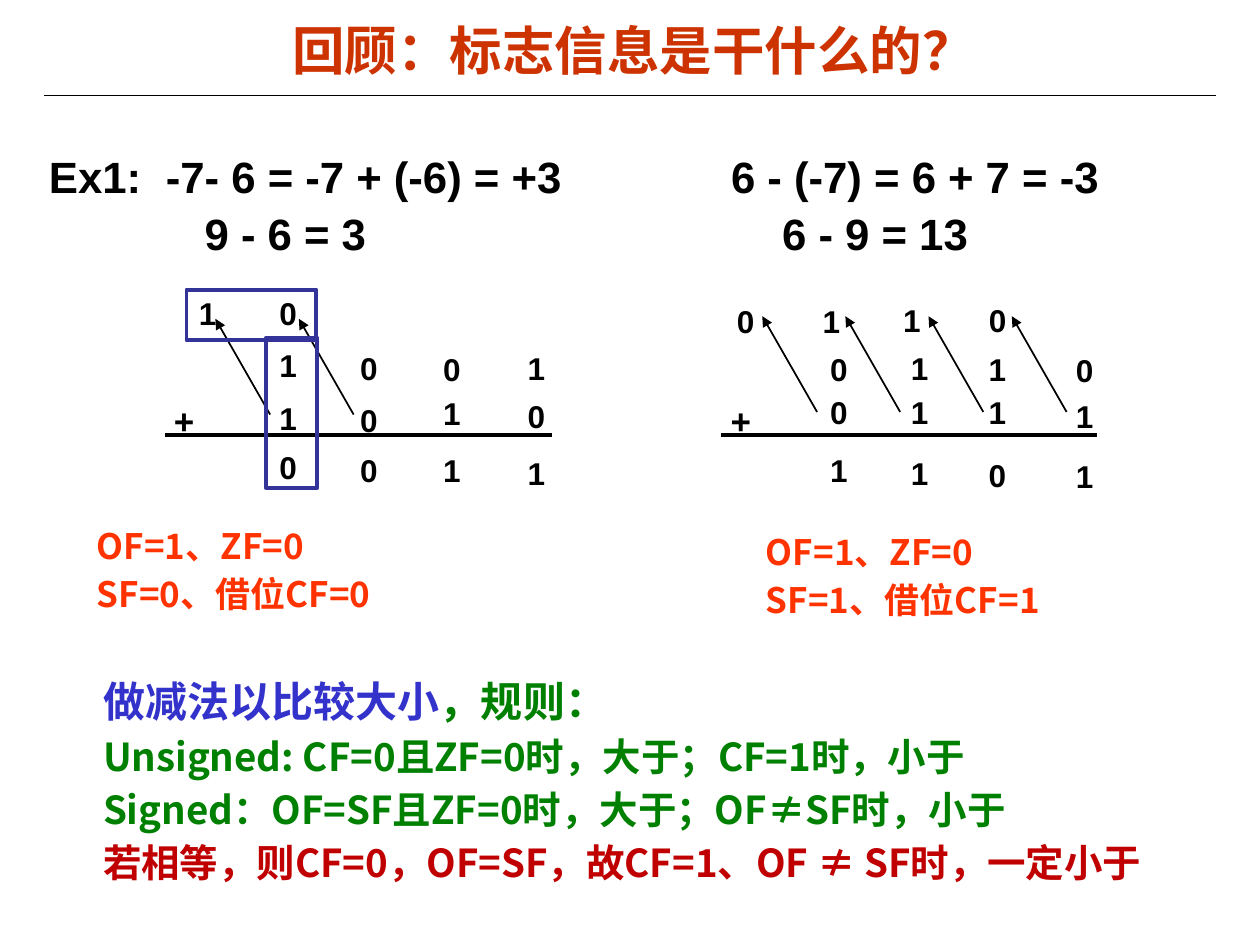
from typing import NamedTuple, Optional, Sequence

from lxml import etree
from pptx import Presentation
from pptx import util as u
from pptx.dml import color as colors
from pptx.enum import shapes, text
from pptx.oxml import ns

Pt = u.Pt
LATIN, CJK = "Arial", "Noto Sans CJK SC"
BLACK, ORANGE, GREEN = "000000", "FF3300", "008000"


class Span(NamedTuple):
    words: str
    size: float
    color: str = BLACK
    font: str = LATIN


class Line(NamedTuple):
    spans: Sequence[Span]
    before: float = 0
    spacing: Optional[float] = None
    tabs: Sequence[float] = ()


class Column(NamedTuple):
    left: float
    digits: str
    tops: Sequence[float]


class Sum(NamedTuple):
    plus_left: float
    rule: tuple[float, float]
    columns: Sequence[Column]
    arrow_tips: Sequence[float]
    tip_top: float


class Flags(NamedTuple):
    left: float
    top: float
    width: float
    lines: Sequence[str]


def rgb(value: str) -> colors.RGBColor:
    return colors.RGBColor.from_string(value)


def add_text(page, left: float, top: float, width: float, height: float,
             lines: Sequence[Line], wrap: bool = True,
             inset: tuple[float, float] = (7.2, 3.6)):
    box = page.shapes.add_textbox(Pt(left), Pt(top), Pt(width), Pt(height))
    frame = box.text_frame
    frame.word_wrap = wrap
    frame.margin_left = frame.margin_right = Pt(inset[0])
    frame.margin_top = frame.margin_bottom = Pt(inset[1])
    for index, line in enumerate(lines):
        para = frame.add_paragraph() if index else frame.paragraphs[0]
        if index and line.before:
            para.space_before = Pt(line.before)
        if line.spacing:
            para.line_spacing = line.spacing
        if line.tabs:
            stops = etree.SubElement(para._p.get_or_add_pPr(), ns.qn("a:tabLst"))
            for stop in line.tabs:
                etree.SubElement(stops, ns.qn("a:tab"), pos=str(Pt(stop)), algn="l")
        for part in line.spans:
            span = para.add_run()
            span.text = part.words
            span.font.size = Pt(part.size)
            span.font.bold = True
            span.font.name = part.font
            span.font.color.rgb = rgb(part.color)
            east_asian = etree.SubElement(span.font._element, ns.qn("a:ea"))
            east_asian.set("typeface", CJK)
    return box


def add_line(page, start: tuple[float, float], end: tuple[float, float],
             width: float, arrow: bool = False) -> None:
    line = page.shapes.add_connector(
        shapes.MSO_CONNECTOR.STRAIGHT, *(Pt(value) for value in (*start, *end)))
    line.line.color.rgb = rgb(BLACK)
    line.line.width = Pt(width)
    if arrow:
        etree.SubElement(line.line._get_or_add_ln(), ns.qn("a:tailEnd"), type="triangle")
    etree.SubElement(line._element.spPr, ns.qn("a:effectLst"))


def add_frame(page, left: float, top: float, width: float, height: float) -> None:
    frame = page.shapes.add_shape(
        shapes.MSO_SHAPE.RECTANGLE, Pt(left), Pt(top), Pt(width), Pt(height))
    frame.shadow.inherit = False
    frame.fill.background()
    frame.line.color.rgb = rgb("333399")
    frame.line.width = Pt(2.25)


def add_sum(page, item: Sum) -> None:
    add_text(page, item.plus_left, 224.6, 26, 31, [Line([Span("+", 20)])], wrap=False)
    add_line(page, (item.rule[0], 248.4), (item.rule[1], 248.4), 2.25)
    for column in item.columns:
        for digit, top in zip(column.digits, column.tops):
            add_text(page, column.left, top, 24.5, 29, [Line([Span(digit, 18)])], wrap=False)
    for tip in item.arrow_tips:
        add_line(page, (tip + 31.3, item.tip_top + 54.7), (tip, item.tip_top), 1, arrow=True)


SUMS = [
    Sum(92.2, (94.3, 315.4), [
        Column(106.6, "1", [164.2]),
        Column(152.6, "0110", [164.2, 194.4, 224.6, 252.7]),
        Column(198.7, "000", [195.8, 225.4, 254.2]),
        Column(246.2, "011", [196.6, 221.8, 254.2]),
        Column(294.5, "101", [195.8, 223.2, 255.6]),
    ], [123.1, 170.8], 182.2),
    Sum(410.4, (411.8, 627.1), [
        Column(414, "0", [169.2]),
        Column(463, "1", [169.2]),
        Column(509, "1", [168.5]),
        Column(558, "0", [168.5]),
        Column(467.3, "001", [196.6, 221, 254.2]),
        Column(513.4, "111", [195.8, 221, 255.6]),
        Column(557.8, "110", [196.6, 221, 257]),
        Column(607.7, "011", [197.3, 223.2, 257.8]),
    ], [435.6, 483.1, 530.6, 578.2], 180.7),
]

FLAGS = [
    Flags(48.2, 295.9, 322.6, ["OF=1、ZF=0", "SF=0、借位CF=0"]),
    Flags(430.6, 299.5, 219.6, ["OF=1、ZF=0", "SF=1、借位CF=1"]),
]

RULES = [
    ("Unsigned: CF=0且ZF=0时，大于；CF=1时，小于", GREEN),
    ("Signed：OF=SF且ZF=0时，大于；OF≠SF时，小于", GREEN),
    ("若相等，则CF=0，OF=SF，故CF=1、OF ≠ SF时，一定小于", "C00000"),
]


def main() -> None:
    deck = Presentation()
    deck.slide_width, deck.slide_height = Pt(720), Pt(540)
    page = deck.slides.add_slide(deck.slide_layouts[6])

    # Title and rule below it
    add_line(page, (25.2, 54.7), (694.8, 54.7), 0.75)
    title = add_text(page, 41, 7.9, 642.2, 40.3,
                     [Line([Span("回顾：标志信息是干什么的？", 30, "CC3300")])],
                     inset=(5, 2.2))
    title.text_frame.vertical_anchor = text.MSO_ANCHOR.MIDDLE
    title.text_frame.paragraphs[0].alignment = text.PP_ALIGN.CENTER

    # Both examples, aligned on tab stops
    add_text(page, 23, 85.7, 675.4, 63.4, [
        Line([Span("Ex1:\t-7- 6 = -7 + (-6) = +3\t6 - (-7) = 6 + 7 = -3", 25)],
             spacing=0.95, tabs=(66.8, 389.8)),
        Line([Span("\t9 - 6 = 3\t6 - 9 = 13", 25)], spacing=1.05, tabs=(89, 419)),
    ], inset=(5, 2.2))

    # Binary sums with carries
    for item in SUMS:
        add_sum(page, item)
    add_frame(page, 106.6, 165.6, 74.2, 28.8)
    add_frame(page, 151.9, 193, 29.5, 85.7)

    # Resulting flags
    for flags in FLAGS:
        add_text(page, flags.left, flags.top, flags.width, 59,
                 [Line([Span(words, 20, ORANGE, CJK)], before=3.7) for words in flags.lines])

    # Comparison rules
    heading = Line([Span("做减法以比较大小", 24, "3333CC", CJK),
                    Span("，规则：", 24, GREEN, CJK)])
    add_text(page, 51.8, 382.3, 646.6, 127.4, [heading] + [
        Line([Span(words, 22, color, CJK)], before=4.1) for words, color in RULES])

    deck.save("out.pptx")


if __name__ == "__main__":
    main()
